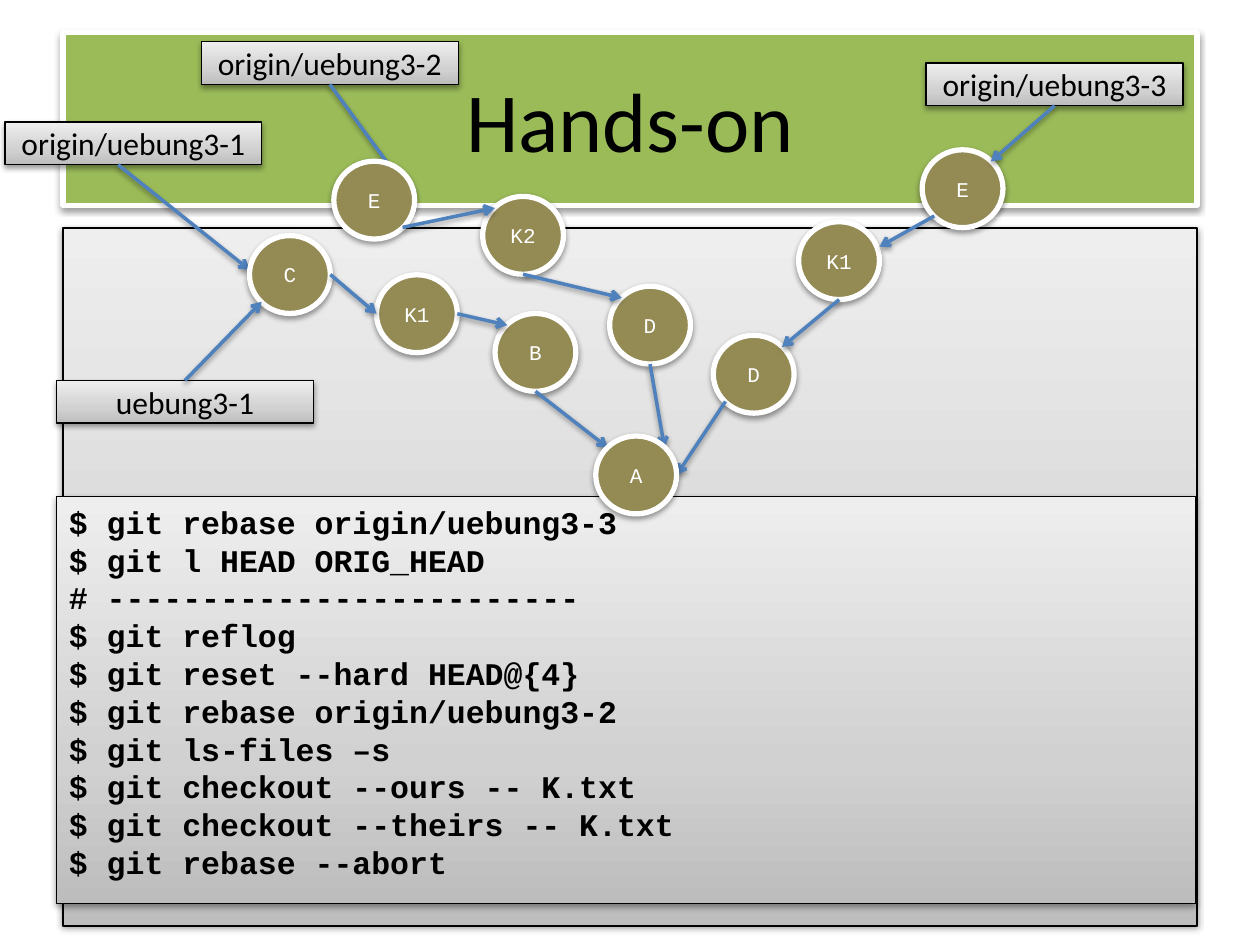
from dataclasses import dataclass

from pptx import Presentation
from pptx.dml.color import RGBColor
from pptx.enum.shapes import MSO_CONNECTOR, MSO_SHAPE
from pptx.enum.text import MSO_ANCHOR, PP_ALIGN
from pptx.oxml import parse_xml
from pptx.oxml.ns import nsdecls
from pptx.util import Cm, Pt

Site = tuple[float, float]  # position within a box, as fractions of its size

TOP, BOTTOM, LEFT, RIGHT = (0.5, 0), (0.5, 1), (0, 0.5), (1, 0.5)
NEAR, FAR = 0.15, 0.85  # where the diagonals meet a circle
TOP_LEFT, TOP_RIGHT = (NEAR, NEAR), (FAR, NEAR)
BOTTOM_LEFT, BOTTOM_RIGHT = (NEAR, FAR), (FAR, FAR)
JOINS = {TOP: 0, BOTTOM: 2}

GREY_STOPS = ((0, "BDBDBD"), (35, "D1D1D1"), (100, "EEEEEE"))
BLACK, WHITE, GREEN, OLIVE, BLUE = "000000", "FFFFFF", "9BBB59", "948A54", "4F81BD"
SANS, MONO = "Calibri", "Courier New"


@dataclass(frozen=True)
class Box:
    left: float
    top: float
    width: float
    height: float
    text: str = ""

    def point(self, site: Site) -> Site:
        return self.left + site[0] * self.width, self.top + site[1] * self.height


@dataclass(frozen=True)
class Link:
    start: Box
    start_site: Site
    end: Box
    end_site: Site


def commit(text: str, left: float, top: float) -> Box:
    return Box(left, top, 1.63, 1.57, text)


def branch(text: str, left: float, top: float) -> Box:
    return Box(left, top, 5.18, 0.86, text)


PANEL = Box(1.27, 4.6, 22.86, 14.07)
TITLE = Box(1.27, 0.66, 22.86, 3.48, "Hands-on")
CODE = Box(1.14, 10.01, 22.96, 8.2, """\
$ git rebase origin/uebung3-3
$ git l HEAD ORIG_HEAD
# -------------------------
$ git reflog
$ git reset --hard HEAD@{4}
$ git rebase origin/uebung3-2
$ git ls-files –s
$ git checkout --ours -- K.txt
$ git checkout --theirs -- K.txt
$ git rebase --abort""")

REMOTE_1 = branch("origin/uebung3-1", 0.1, 2.46)
REMOTE_2 = branch("origin/uebung3-2", 4.06, 0.84)
REMOTE_3 = branch("origin/uebung3-3", 18.67, 1.27)
LOCAL_1 = branch("uebung3-1", 1.14, 7.67)
BRANCHES = (REMOTE_1, REMOTE_2, REMOTE_3, LOCAL_1)

A = commit("A", 12.01, 8.79)
B, K1, C = commit("B", 9.98, 6.32), commit("K1", 7.59, 5.54), commit("C", 5.03, 4.75)
D_2, K2, E_2 = commit("D", 12.29, 5.77), commit("K2", 9.73, 3.96), commit("E", 6.73, 3.25)
D_3, K1_3, E_3 = commit("D", 14.38, 6.76), commit("K1", 16.1, 4.47), commit("E", 18.59, 3.02)
COMMITS = (B, K1, C, D_2, K2, E_2, D_3, K1_3, E_3)

LINKS_BELOW = (
    Link(REMOTE_1, (0.44, 1), C, (0, 0.44)),
    Link(REMOTE_2, BOTTOM, E_2, RIGHT),
)
LINKS_ABOVE = (
    Link(LOCAL_1, TOP, C, BOTTOM_LEFT),
    Link(C, RIGHT, K1, LEFT),
    Link(K1, RIGHT, B, TOP_LEFT),
    Link(B, BOTTOM, A, TOP_LEFT),
    Link(E_2, BOTTOM_RIGHT, K2, TOP_LEFT),
    Link(K2, BOTTOM, D_2, TOP_LEFT),
    Link(D_2, BOTTOM, A, TOP_RIGHT),
    Link(REMOTE_3, BOTTOM, E_3, TOP_RIGHT),
    Link(E_3, BOTTOM_LEFT, K1_3, (1, 0.32)),
    Link(K1_3, BOTTOM, D_3, TOP_RIGHT),
    Link(D_3, BOTTOM_LEFT, A, RIGHT),
)


def rgb(color: str) -> RGBColor:
    return RGBColor.from_string(color)


def add_shadow(s) -> None:
    """Add a soft shadow below; call after fill and line are set."""
    s._element.spPr.append(parse_xml(
        f'<a:effectLst {nsdecls("a")}>'
        '<a:outerShdw blurRad="40000" dist="20000" dir="5400000" rotWithShape="0">'
        f'<a:srgbClr val="{BLACK}"><a:alpha val="38000"/></a:srgbClr>'
        '</a:outerShdw></a:effectLst>'))


def fill_grey(s) -> None:
    """Fill with a gradient running from dark at the bottom to light at the top."""
    stops = "".join(f'<a:gs pos="{pos * 1000}"><a:srgbClr val="{color}"/></a:gs>'
                    for pos, color in GREY_STOPS)
    s.fill.background()
    spPr = s._element.spPr
    spPr.replace(spPr.eg_fillProperties, parse_xml(
        f'<a:gradFill {nsdecls("a")} rotWithShape="1"><a:gsLst>{stops}</a:gsLst>'
        '<a:lin ang="16200000" scaled="0"/></a:gradFill>'))


def style(s, fill: str | None, line: str, width: float) -> None:
    """Set fill (grey gradient if None), outline and shadow."""
    if fill:
        s.fill.solid()
        s.fill.fore_color.rgb = rgb(fill)
    else:
        fill_grey(s)
    s.line.color.rgb = rgb(line)
    s.line.width = Pt(width)
    add_shadow(s)


def write(s, text: str, font: str, size: float, color: str, bold: bool = False,
          align=PP_ALIGN.CENTER, anchor=MSO_ANCHOR.MIDDLE) -> None:
    tf = s.text_frame
    tf.text = text
    tf.word_wrap = True
    tf.vertical_anchor = anchor
    for p in tf.paragraphs:
        p.alignment = align
        p.font.name, p.font.size, p.font.bold = font, Pt(size), bold
        p.font.color.rgb = rgb(color)


def add_box(slide, box: Box, fill: str | None = None, line: str = BLACK,
            width: float = 0.75, kind=MSO_SHAPE.RECTANGLE):
    s = slide.shapes.add_shape(kind, Cm(box.left), Cm(box.top), Cm(box.width), Cm(box.height))
    style(s, fill, line, width)
    return s


def add_commit(slide, box: Box) -> None:
    s = add_box(slide, box, OLIVE, WHITE, 3, MSO_SHAPE.OVAL)
    write(s, box.text, MONO, 12, WHITE)


def add_branch(slide, box: Box):
    s = add_box(slide, box)
    write(s, box.text, SANS, 18, BLACK)
    return s


def add_link(slide, link: Link, labels: dict) -> None:
    """Draw an arrow, joined to its branch label where it starts mid-side."""
    ends = link.start.point(link.start_site) + link.end.point(link.end_site)
    s = slide.shapes.add_connector(MSO_CONNECTOR.STRAIGHT, *map(Cm, ends))
    if link.start in labels and link.start_site in JOINS:
        s.begin_connect(labels[link.start], JOINS[link.start_site])
    s.line.color.rgb = rgb(BLUE)
    s.line.width = Pt(2)
    s.line._get_or_add_ln().append(parse_xml(f'<a:tailEnd {nsdecls("a")} type="arrow"/>'))
    add_shadow(s)


def main() -> None:
    prs = Presentation()
    prs.slide_width, prs.slide_height = Cm(25.4), Cm(19.05)
    slide = prs.slides.add_slide(prs.slide_layouts[5])

    title = slide.shapes.title
    title.left, title.top = Cm(TITLE.left), Cm(TITLE.top)
    title.width, title.height = Cm(TITLE.width), Cm(TITLE.height)
    style(title, GREEN, WHITE, 3)
    write(title, TITLE.text, SANS, 48, BLACK)

    add_box(slide, PANEL)
    write(add_box(slide, CODE), CODE.text, MONO, 18, BLACK, True, PP_ALIGN.LEFT, MSO_ANCHOR.TOP)

    labels = {box: add_branch(slide, box) for box in BRANCHES}
    for link in LINKS_BELOW:
        add_link(slide, link, labels)
    for box in COMMITS:
        add_commit(slide, box)
    for link in LINKS_ABOVE:
        add_link(slide, link, labels)
    add_commit(slide, A)

    prs.save("out.pptx")


if __name__ == "__main__":
    main()
